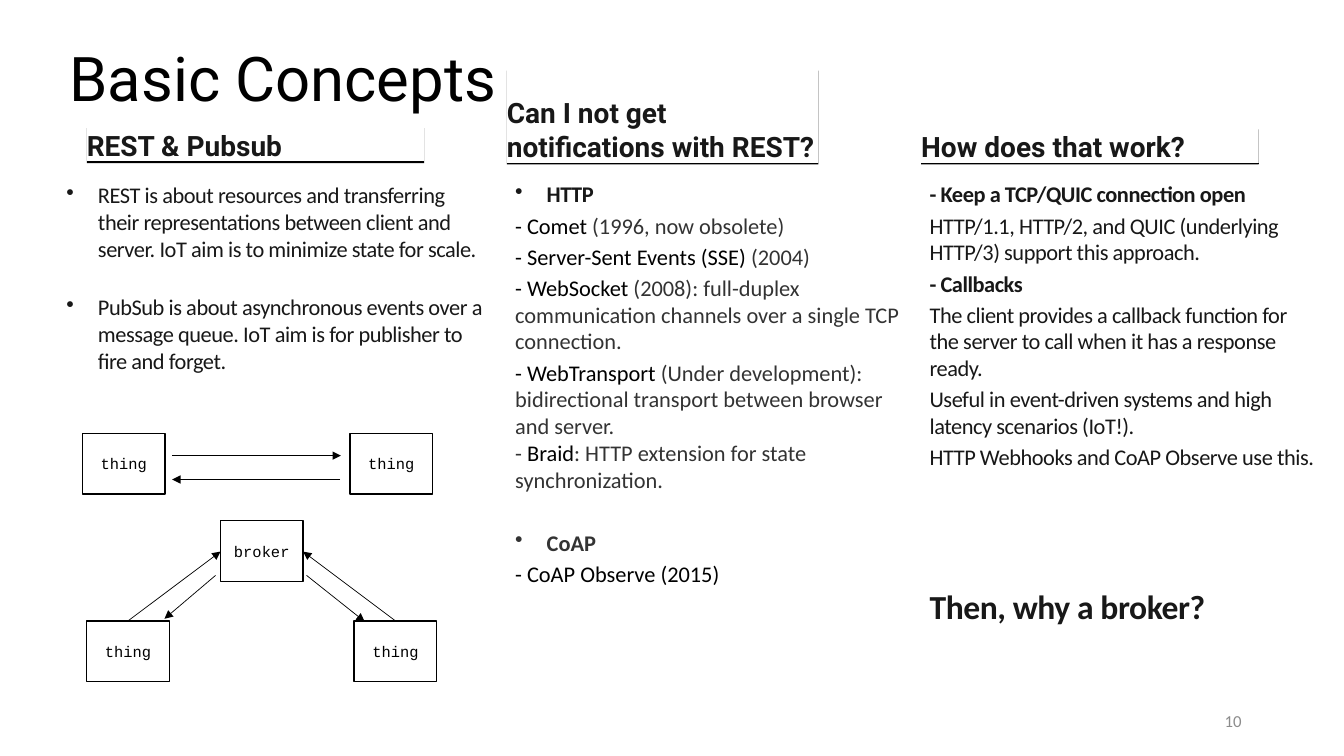
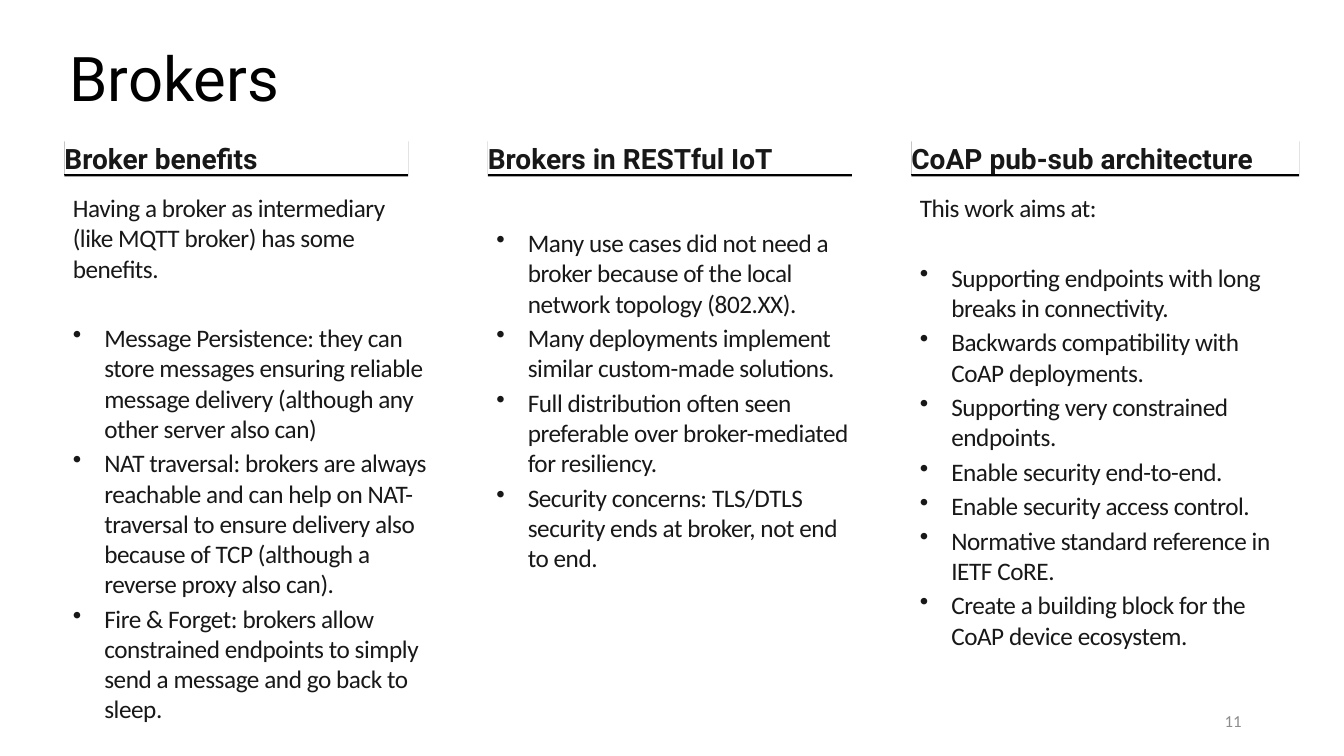
from typing import NamedTuple

from lxml.etree import SubElement
from pptx import Presentation
from pptx.dml.color import RGBColor
from pptx.enum.shapes import MSO_CONNECTOR as Connector, MSO_SHAPE as Preset
from pptx.enum.text import MSO_ANCHOR as Anchor, PP_ALIGN as Align
from pptx.oxml.ns import qn
from pptx.util import Pt

COLORS = {
    "black": "000000",
    "white": "FFFFFF",
    "ink": "181818",
    "detail": "333333",
    "number": "8C8C8C",
}
HEADING_FONT, BODY_FONT, NODE_FONT = "Roboto", "Calibri", "Courier New"
DEFAULT_INSETS = (7.2, 3.6, 7.2, 3.6)
BODY_INSETS = (6, 3, 0, 6)
BULLET_INDENT = 22.5
PARAGRAPH_GAP = 3
HEADING_HEIGHT = 25
FIRST_NUMBER = 10


class Run(NamedTuple):
    text: str
    color: str = "ink"
    bold: bool = False
    size: float = 0
    spacing: float = -0.3


class Para(NamedTuple):
    runs: tuple[Run, ...]
    bullet: bool = False
    before: float = PARAGRAPH_GAP


class Box(NamedTuple):
    left: float
    top: float
    width: float
    height: float

    def in_points(self):
        return [Pt(length) for length in self]


class Column(NamedTuple):
    heading: str
    heading_box: Box
    body_box: Box
    size: float
    paras: list[Para]


class Node(NamedTuple):
    label: str
    left: float
    top: float


class Arrow(NamedTuple):
    x1: float
    y1: float
    x2: float
    y2: float


def plain(text: str, before: float = PARAGRAPH_GAP, bold: bool = False, size: float = 0) -> Para:
    return Para((Run(text, bold=bold, size=size),), before=before)


def bullet(text: str, before: float = PARAGRAPH_GAP) -> Para:
    return Para((Run(text),), True, before)


def topic(text: str, color: str, spacing: float, before: float = PARAGRAPH_GAP) -> Para:
    """A bold bullet that opens a list of protocols."""
    return Para((Run(text, color, True, spacing=spacing),), True, before)


def option(name: str, detail: str = "") -> Para:
    """A protocol in black, followed by its grey description."""
    runs = (Run(f"- {name}", "black", spacing=0), Run(detail, "detail", spacing=0))
    return Para(runs if detail else runs[:1])


def rgb(name: str) -> RGBColor:
    return RGBColor.from_string(COLORS[name])


def add_run(paragraph, run: Run, font_name: str, size: float) -> None:
    piece = paragraph.add_run()
    piece.text = run.text
    font = piece.font
    font.name, font.size, font.bold = font_name, Pt(run.size or size), run.bold
    font.color.rgb = rgb(run.color)
    if run.spacing:
        piece.font._element.set("spc", str(round(run.spacing * 100)))


def set_frame(shape, anchor, insets=DEFAULT_INSETS):
    frame = shape.text_frame
    frame.word_wrap = True
    frame.vertical_anchor = anchor
    frame.margin_left, frame.margin_top, frame.margin_right, frame.margin_bottom = map(Pt, insets)
    return frame


def add_label(shape, run: Run, font: str, size: float, anchor=Anchor.MIDDLE,
              align=Align.LEFT, insets=DEFAULT_INSETS):
    """Put a single line of styled text into a shape."""
    paragraph = set_frame(shape, anchor, insets).paragraphs[0]
    paragraph.alignment = align
    add_run(paragraph, run, font, size)
    return paragraph


def add_line(slide, arrow: Arrow, width: float, head: bool = False) -> None:
    line = slide.shapes.add_connector(Connector.STRAIGHT, *map(Pt, arrow))
    line.line.width = Pt(width)
    line.line.color.rgb = rgb("black")
    properties = line.element.spPr
    if head:
        SubElement(properties.find(qn("a:ln")), qn("a:tailEnd"), type="triangle")
    SubElement(properties, qn("a:effectLst"))


def add_rectangle(slide, box: Box):
    rectangle = slide.shapes.add_shape(Preset.RECTANGLE, *box.in_points())
    rectangle.fill.solid()
    rectangle.fill.fore_color.rgb = rgb("white")
    rectangle.line.fill.background()
    rectangle.shadow.inherit = False
    return rectangle


def add_heading(slide, text: str, box: Box) -> None:
    """A heading on white with a thin shadow and a rule under it."""
    heading = add_rectangle(slide, box)
    effects = heading.element.spPr.find(qn("a:effectLst"))
    shadow = SubElement(effects, qn("a:outerShdw"), blurRad="0", dist=str(Pt(1)),
                        dir="5400000", rotWithShape="0")
    SubElement(shadow, qn("a:srgbClr"), val=COLORS["black"])
    add_label(heading, Run(text, bold=True, spacing=0), HEADING_FONT, 20,
              Anchor.BOTTOM, insets=(0, 0, 0, 0))
    bottom = box.top + box.height
    add_line(slide, Arrow(box.left, bottom, box.left + box.width, bottom), 0.75)


def add_body(slide, column: Column) -> None:
    body = slide.shapes.add_textbox(*column.body_box.in_points())
    frame = set_frame(body, Anchor.TOP, BODY_INSETS)
    for index, para in enumerate(column.paras):
        paragraph = frame.add_paragraph() if index else frame.paragraphs[0]
        if index:
            paragraph.space_before = Pt(para.before)
        if para.bullet:
            properties = paragraph._p.get_or_add_pPr()
            properties.set("marL", str(Pt(BULLET_INDENT)))
            properties.set("indent", str(-Pt(BULLET_INDENT)))
            SubElement(properties, qn("a:buChar"), char="•")
        for run in para.runs:
            add_run(paragraph, run, BODY_FONT, column.size)


def add_node(slide, node: Node) -> None:
    box = add_rectangle(slide, Box(node.left, node.top, 59, 43.5))
    box.line.width = Pt(1)
    box.line.color.rgb = rgb("black")
    add_label(box, Run(node.label, "black", spacing=0), NODE_FONT, 11, align=Align.CENTER)


def add_slide(deck, title: str, number: int, columns: list[Column]):
    slide = deck.slides.add_slide(deck.slide_layouts[6])
    title_box = slide.shapes.add_textbox(*Box(42.5, 24.5, 846, 67).in_points())
    add_label(title_box, Run(title, "black", spacing=0), HEADING_FONT, 44).line_spacing = 0.9
    number_box = slide.shapes.add_textbox(*Box(678, 500.5, 216, 28.5).in_points())
    add_label(number_box, Run(str(number), "number", spacing=0), BODY_FONT, 12, align=Align.RIGHT)
    for column in columns:
        add_heading(slide, column.heading, column.heading_box)
        add_body(slide, column)
    return slide


CONCEPTS = [
    Column("REST & Pubsub", Box(62, 90.5, 241, HEADING_HEIGHT), Box(41.5, 126.5, 305, 157), 16, [
        bullet("REST is about resources and transferring their representations between client "
               "and server. IoT aim is to minimize state for scale."),
        bullet("PubSub is about asynchronous events over a message queue. IoT aim is for "
               "publisher to fire and forget.", before=22.5),
    ]),
    Column("Can I not get notifications with REST?", Box(362, 49.5, 222.5, 67),
           Box(362, 126, 281, 361), 16, [
        topic("HTTP", "ink", -0.3),
        option("Comet", " (1996, now obsolete)"),
        option("Server-Sent Events (SSE)", " (2004)"),
        option("WebSocket", " (2008): full-duplex communication channels over a single "
                            "TCP connection."),
        option("WebTransport", " (Under development): bidirectional transport between "
                               "browser and server."),
        Para((Run("- ", "detail", spacing=0), Run("Braid", "black", spacing=0),
              Run(": HTTP extension for state synchronization.", "detail", spacing=0)), before=0),
        topic("CoAP", "detail", 0, before=25.5),
        option("CoAP Observe (2015)"),
    ]),
    Column("How does that work?", Box(658, 91.5, 241, HEADING_HEIGHT), Box(658, 126, 281, 361), 16, [
        plain("- Keep a TCP/QUIC connection open", bold=True),
        plain("HTTP/1.1, HTTP/2, and QUIC (underlying HTTP/3) support this approach."),
        plain("- Callbacks", bold=True),
        plain("The client provides a callback function for the server to call when it has a "
              "response ready."),
        plain("Useful in event-driven systems and high latency scenarios (IoT!)."),
        plain("HTTP Webhooks and CoAP Observe use this."),
        plain("Then, why a broker?", before=82.5, bold=True, size=24),
    ]),
]


def broker_column(index: int, heading: str, rule_width: float, paras: list[Para],
                  drop: float = 0) -> Column:
    left = 46 + 302.5 * index
    return Column(heading, Box(left, 100, rule_width, HEADING_HEIGHT),
                  Box(left, 134.5 + drop, 260, 338 - drop), 18, paras)


BROKERS = [
    broker_column(0, "Broker benefits", 245.5, [
        plain("Having a broker as intermediary (like MQTT broker) has some benefits."),
        bullet("Message Persistence: they can store messages ensuring reliable message delivery "
               "(although any other server also can)", before=28),
        bullet("NAT traversal: brokers are always reachable and can help on NAT-traversal to "
               "ensure delivery also because of TCP (although a reverse proxy also can)."),
        bullet("Fire & Forget: brokers allow constrained endpoints to simply send a message and "
               "go back to sleep."),
    ]),
    broker_column(1, "Brokers in RESTful IoT", 260, [
        bullet("Many use cases did not need a broker because of the local network topology "
               "(802.XX)."),
        bullet("Many deployments implement similar custom-made solutions."),
        bullet("Full distribution often seen preferable over broker-mediated for resiliency."),
        bullet("Security concerns: TLS/DTLS security ends at broker, not end to end."),
    ], drop=25),
    broker_column(2, "CoAP pub-sub architecture", 277, [
        plain("This work aims at:"),
        bullet("Supporting endpoints with long breaks in connectivity.", before=28),
        bullet("Backwards compatibility with CoAP deployments."),
        bullet("Supporting very constrained endpoints."),
        bullet("Enable security end-to-end."),
        bullet("Enable security access control."),
        bullet("Normative standard reference in IETF CoRE."),
        bullet("Create a building block for the CoAP device ecosystem."),
    ]),
]

NODES = [
    Node("thing", 59, 309.5), Node("thing", 250, 309.5),
    Node("thing", 62, 443.5), Node("thing", 253, 443.5),
    Node("broker", 157.5, 372),
]
ARROWS = [
    Arrow(123, 325.5, 243.5, 325.5), Arrow(243, 342.5, 123, 342.5),
    Arrow(91.5, 443.5, 157.5, 394), Arrow(282.5, 443.5, 216.5, 394),
    Arrow(154, 411, 117.5, 442), Arrow(219, 411, 260.5, 444),
]


def main() -> None:
    deck = Presentation()
    deck.slide_width, deck.slide_height = Pt(960), Pt(540)
    concepts = add_slide(deck, "Basic Concepts", FIRST_NUMBER, CONCEPTS)
    for node in NODES:
        add_node(concepts, node)
    for arrow in ARROWS:
        add_line(concepts, arrow, 0.5, head=True)
    add_slide(deck, "Brokers", FIRST_NUMBER + 1, BROKERS)
    deck.save("out.pptx")


if __name__ == "__main__":
    main()
